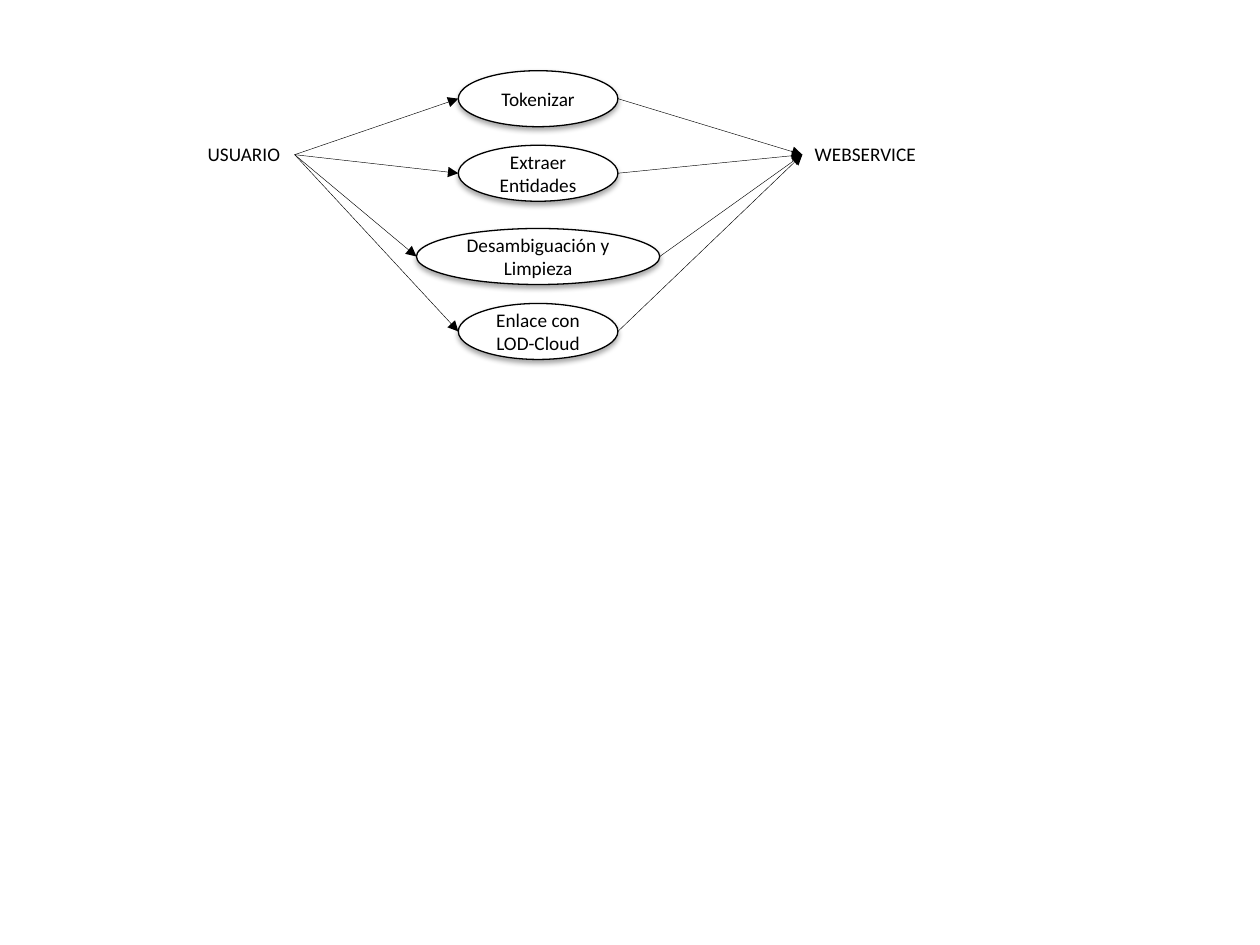
from lxml.etree import SubElement
from pptx import Presentation
from pptx.dml.color import RGBColor
from pptx.enum.shapes import MSO_CONNECTOR, MSO_SHAPE
from pptx.enum.text import MSO_ANCHOR, MSO_AUTO_SIZE, PP_ALIGN
from pptx.oxml.ns import qn
from pptx.util import Pt

BLACK = RGBColor(0, 0, 0)
WHITE = RGBColor(255, 255, 255)


class UseCaseDiagram:
    """Draws actors, use cases and arrows in one style on the current slide."""

    font_name = "Calibri"
    font_size = 11

    def __init__(self, slide):
        self.slide = slide

    def set_wording(self, frame, wording, align):
        frame.text = wording
        paragraph = frame.paragraphs[0]
        paragraph.alignment = align
        paragraph.font.name = self.font_name
        paragraph.font.size = Pt(self.font_size)
        paragraph.font.color.rgb = BLACK

    def actor(self, wording, left, top, width, height):
        label = self.slide.shapes.add_textbox(Pt(left), Pt(top), Pt(width), Pt(height))
        label.text_frame.word_wrap = False
        label.text_frame.auto_size = MSO_AUTO_SIZE.SHAPE_TO_FIT_TEXT
        self.set_wording(label.text_frame, wording, PP_ALIGN.LEFT)

    def use_case(self, wording, left, top, width, height):
        oval = self.slide.shapes.add_shape(
            MSO_SHAPE.OVAL, Pt(left), Pt(top), Pt(width), Pt(height))
        oval.fill.solid()
        oval.fill.fore_color.rgb = WHITE
        oval.line.color.rgb = BLACK
        oval.line.width = Pt(0.75)
        oval.shadow.inherit = False
        effects = oval.element.spPr.find(qn("a:effectLst"))
        shadow = SubElement(effects, qn("a:outerShdw"), blurRad=str(Pt(3.1)),
                            dist=str(Pt(1.8)), dir="5400000", rotWithShape="0")
        tint = SubElement(shadow, qn("a:srgbClr"), val=str(BLACK))
        SubElement(tint, qn("a:alpha"), val="35000")
        oval.text_frame.word_wrap = True
        oval.text_frame.vertical_anchor = MSO_ANCHOR.MIDDLE
        self.set_wording(oval.text_frame, wording, PP_ALIGN.CENTER)

    def arrow(self, start, end):
        connector = self.slide.shapes.add_connector(
            MSO_CONNECTOR.STRAIGHT, *map(Pt, start + end))
        connector.line.color.rgb = BLACK
        connector.line.width = Pt(0.25)
        properties = connector.element.spPr
        SubElement(properties.find(qn("a:ln")), qn("a:tailEnd"), type="triangle")
        SubElement(properties, qn("a:effectLst"))


def main():
    presentation = Presentation()
    presentation.slide_width = Pt(720)
    presentation.slide_height = Pt(540)
    slide = presentation.slides.add_slide(presentation.slide_layouts[6])
    diagram = UseCaseDiagram(slide)

    diagram.actor("USUARIO", 111.6, 78, 56.4, 20.6)
    diagram.actor("WEBSERVICE", 458.5, 78, 72.8, 20.6)
    user_edge = (168.4, 88.4)
    service_edge = (458.5, 88.4)

    center, height = 307.5, 32
    use_cases = [
        ("Tokenizar", 40.4, 91.2),
        ("Extraer Entidades", 83, 91.2),
        ("Desambiguación y Limpieza", 130.6, 139),
        ("Enlace con LOD-Cloud", 173.4, 91.2),
    ]
    for wording, top, width in use_cases:
        left, middle = center - width / 2, top + height / 2
        diagram.use_case(wording, left, top, width, height)
        diagram.arrow(user_edge, (left, middle))
        diagram.arrow((left + width, middle), service_edge)

    presentation.save("out.pptx")


if __name__ == "__main__":
    main()
